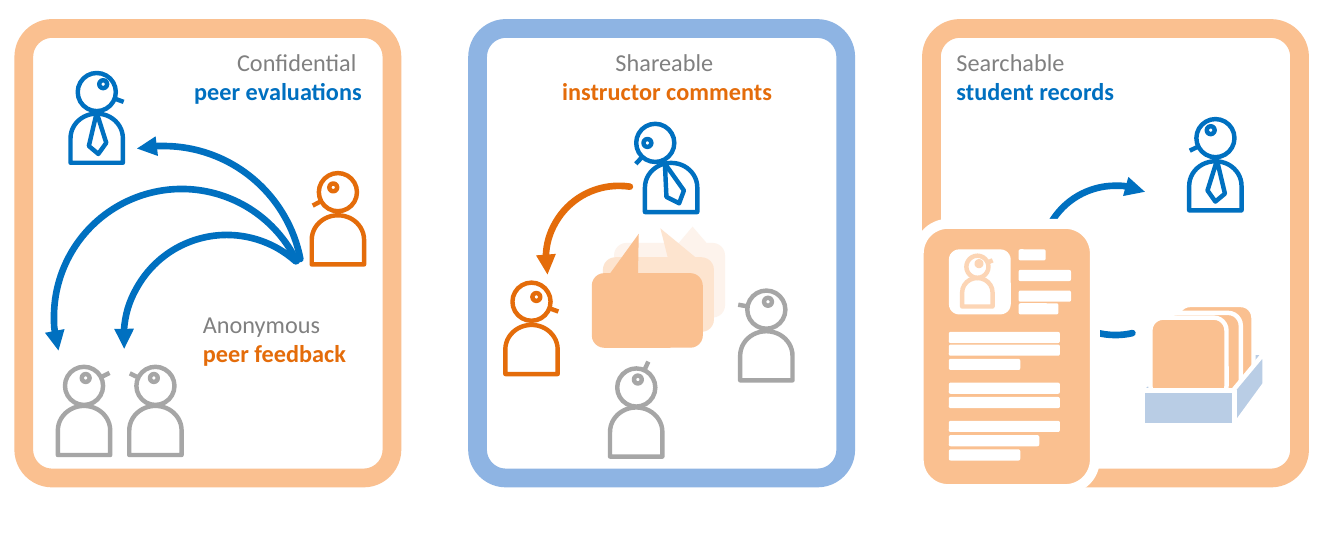
from math import cos, radians, sin

from lxml import etree
from pptx import Presentation
from pptx import util as u
from pptx.dml.color import RGBColor
from pptx.enum import shapes, text
from pptx.oxml.ns import qn

THEME = {
    "blue": "0070C0", "orange": "E46C0A", "gray": "A6A6A6", "label": "808080",
    "peach": "FAC090", "peach_mid": "FDE4CF", "peach_pale": "FDF3EC",
    "portrait": "FCD5B5", "frame_blue": "8EB4E3", "tray": "B9CDE5",
    "white": "FFFFFF", "font": "Calibri", "size": u.Pt(11),
}
MSO = shapes.MSO_SHAPE
ALIGN = text.PP_ALIGN

prs = Presentation()
prs.slide_width, prs.slide_height = u.Inches(8.47), u.Inches(3.4)
s = prs.slides.add_slide(prs.slide_layouts[6])


def add(parent, kind, geometry, fill=None, line=None, width=2, adj=(), rotation=0):
    """Add a preset shape from a box, or an outline (kind None) from points."""
    if kind is None:
        points = [(u.Inches(x), u.Inches(y)) for x, y in geometry]
        builder = parent.build_freeform(*points[0])
        builder.add_line_segments(points[1:], close=True)
        sp = builder.convert_to_shape()
    else:
        sp = parent.add_shape(kind, *map(u.Inches, geometry))
    sp.shadow.inherit = False
    sp.rotation = rotation
    for i, value in enumerate(adj):
        sp.adjustments[i] = value
    for part, color in ((sp.fill, fill), (sp.line.fill, line)):
        if color:
            part.solid()
            part.fore_color.rgb = RGBColor.from_string(THEME[color])
        else:
            part.background()
    if line:
        sp.line.width = u.Pt(width)
    return sp


def person(x, y, body, eye, beak, color, tie=(), scale=1, fill="white"):
    """x, y: head centre; body, eye, tie: offsets from it; beak: angle in degrees."""
    g = s.shapes.add_group_shape().shapes
    w, h = 0.31 * scale, 0.33 * scale
    add(g, MSO.FLOWCHART_DELAY, (x + body[0] - w / 2, y + body[1] - h / 2, w, h),
        fill, color, rotation=270)
    if tie:
        add(g, None, [(x + dx, y + dy) for dx, dy in tie], fill, color)
    for dx, dy, size in ((0, 0, 0.24 * scale), (*eye, 0.05 * scale)):
        add(g, MSO.FLOWCHART_CONNECTOR,
            (x + dx - size / 2, y + dy - size / 2, size, size), fill, color)
    a = radians(beak)
    ends = [u.Inches(v) for r in (0.12 * scale, 0.18 * scale)
            for v in (x + r * cos(a), y + r * sin(a))]
    c = g.add_connector(shapes.MSO_CONNECTOR.STRAIGHT, *ends)
    c.line.color.rgb = RGBColor.from_string(THEME[color])
    c.line.width = u.Pt(2)
    etree.SubElement(c._element.spPr, qn("a:effectLst"))


# Panel frames
for i, color in enumerate(("peach", "frame_blue", "peach")):
    add(s.shapes, MSO.ROUNDED_RECTANGLE, (0.15 + 2.86 * i, 0.18, 2.32, 2.83),
        line=color, width=8.5, adj=[0.077])

# Captions
for x, y, w, align, first, second, color in (
    (1.06, 0.25, 1.32, ALIGN.RIGHT, "Confidential ", "peer evaluations", "blue"),
    (1.18, 1.9, 1.14, ALIGN.LEFT, "Anonymous ", "peer feedback", "orange"),
    (3.33, 0.25, 1.75, ALIGN.CENTER, "Shareable ", "instructor comments", "orange"),
    (5.93, 0.25, 1.83, ALIGN.LEFT, "Searchable ", "student records", "blue"),
):
    tf = s.shapes.add_textbox(*map(u.Inches, (x, y, w, 0.47))).text_frame
    tf.word_wrap = True
    tf.auto_size = text.MSO_AUTO_SIZE.SHAPE_TO_FIT_TEXT
    p = tf.paragraphs[0]
    p.alignment = align
    for words, tone, bold in ((first, "label", False), (second, color, True)):
        if bold:
            p.add_line_break()
        r = p.add_run()
        r.text = words
        fmt = {"name": THEME["font"], "size": THEME["size"], "bold": bold}
        for key, value in fmt.items():
            setattr(r.font, key, value)
        r.font.color.rgb = RGBColor.from_string(THEME[tone])

# Stack of speech bubbles
for x, y, tip, color in (
    (3.87, 1.53, (0.207, -0.719), "peach_pale"),
    (3.8, 1.62, (0.018, -0.887), "peach_mid"),
    (3.73, 1.72, (-0.077, -1.027), "peach"),
):
    add(s.shapes, MSO.ROUNDED_RECTANGULAR_CALLOUT, (x, y, 0.7, 0.47), color,
        adj=[*tip, 0.167])

# People: instructors wear a tie
tie = [(0, 0.13), (-0.05, 0.34), (0.01, 0.39), (0.06, 0.32)]
mirrored_tie = [(0.01 - dx, dy + 0.01) for dx, dy in tie]
leaning_tie = [(0.06, 0.13), (0.07, 0.34), (0.15, 0.38), (0.18, 0.3)]
for who in (
    (0.61, 0.58, (0, 0.29), (0.04, -0.05), 20, "blue", tie),
    (2.13, 1.21, (0, 0.3), (-0.03, -0.03), 152, "orange"),
    (0.53, 2.43, (0, 0.28), (0.01, -0.05), -27, "gray"),
    (0.98, 2.43, (0, 0.28), (-0.01, -0.05), 206, "gray"),
    (4.13, 0.9, (0.1, 0.28), (-0.05, 0), 133, "blue", leaning_tie),
    (3.35, 1.9, (0, 0.3), (0.03, -0.03), 20, "orange"),
    (4.01, 2.44, (0, 0.28), (0.01, -0.05), -65, "gray"),
    (4.83, 1.95, (0, 0.29), (0.01, -0.05), 190, "gray"),
    (7.66, 0.87, (0, 0.3), (-0.03, -0.05), 154, "blue", mirrored_tie),
):
    person(*who)

# Record box: back, three files, side and front
g = s.shapes.add_group_shape().shapes
add(g, None, [(7.19, 2.45), (7.48, 2.22), (7.97, 2.22), (7.97, 2.42), (7.2, 2.68)],
    "tray", "white")
for x, y in ((7.42, 1.92), (7.34, 1.97), (7.25, 2)):
    add(g, MSO.ROUNDED_RECTANGLE, (x, y, 0.48, 0.51), "peach", "white")
add(g, None, [(7.77, 2.46), (7.97, 2.22), (7.97, 2.42), (7.78, 2.68)], "tray", "white")
add(g, MSO.RECTANGLE, (7.2, 2.46, 0.58, 0.22), "tray", "white")

# Curved arrows: square box, start and end angle in degrees, arrowhead end
for x, y, size, start, end, tip, color in (
    (0.15, 0.92, 1.76, 259.15, 348.95, "headEnd", "blue"),
    (0.34, 1.19, 1.61, 164.73, 334.19, "headEnd", "blue"),
    (0.78, 1.48, 1.3, 174.17, 311.9, "headEnd", "blue"),
    (3.44, 1.17, 0.92, 167.71, 278.74, "headEnd", "orange"),
    (6.56, 1.17, 0.94, 76.82, 293.24, "tailEnd", "blue"),
):
    sp = add(s.shapes, MSO.ARC, (x, y, size, size), line=color, width=3,
             adj=[0.6 * start, 0.6 * end])
    ln = sp.line._get_or_add_ln()
    ln.set("cap", "rnd")
    etree.SubElement(ln, qn("a:" + tip), type="triangle")

# Student record card with its portrait
add(s.shapes, MSO.ROUNDED_RECTANGLE, (5.79, 1.41, 1.11, 1.67), "peach", "white", 4.5)
add(s.shapes, MSO.ROUNDED_RECTANGLE, (5.98, 1.57, 0.39, 0.41), "white")
person(6.16, 1.68, (0, 0.16), (0.01, -0.02), -23, "portrait", scale=0.58, fill=None)

# Text bars on the card
for x, bars in (
    (6.42, ((1.57, 0.17), (1.7, 0.33), (1.83, 0.33), (1.91, 0.25))),
    (5.98, ((2.09, 0.7), (2.17, 0.7), (2.26, 0.45), (2.41, 0.7), (2.5, 0.7),
            (2.65, 0.7), (2.74, 0.57), (2.83, 0.45))),
):
    for y, w in bars:
        add(s.shapes, MSO.ROUNDED_RECTANGLE, (x, y, w, 0.07), "white")

prs.save("out.pptx")
